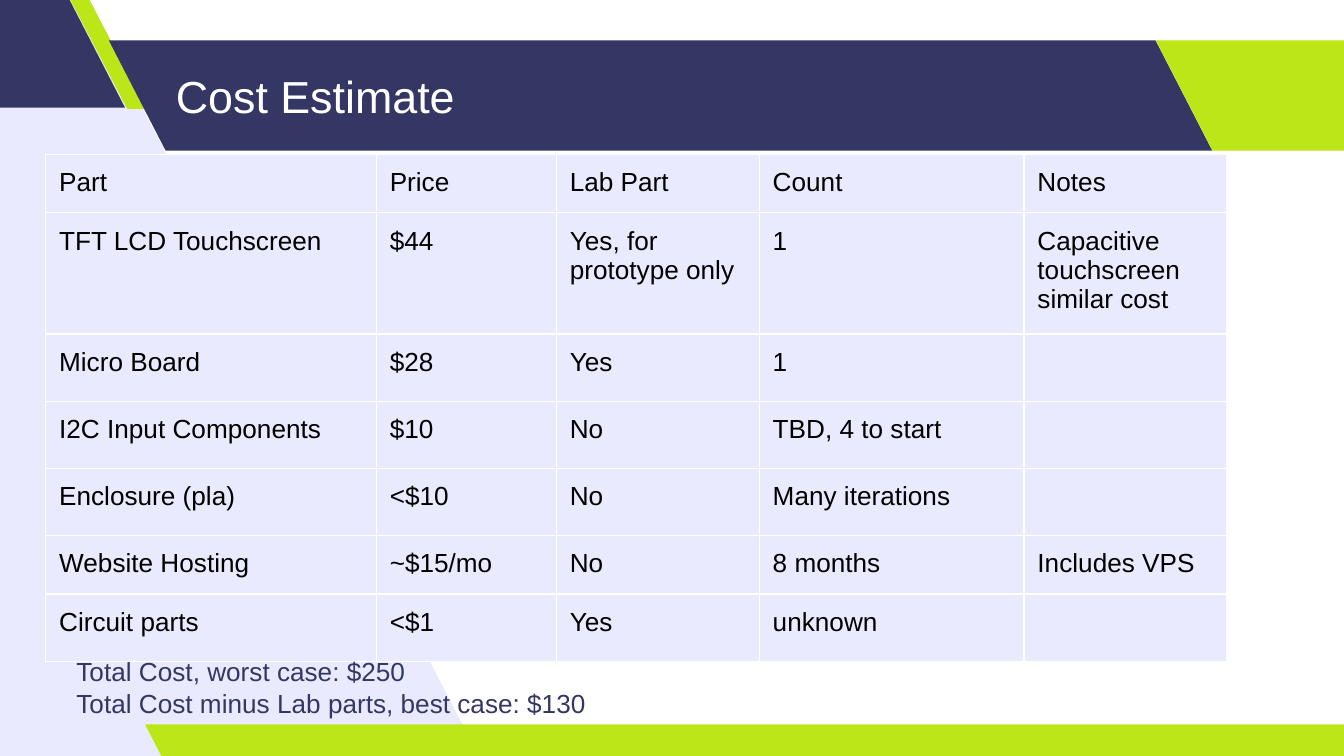
import pptx
import pptx.enum.shapes
import pptx.enum.text
import pptx.oxml.ns
import pptx.util
from lxml import etree
from pptx.dml.color import RGBColor
from pptx.util import Inches

COLORS = {
    "navy": "343764",
    "lime": "BBE617",
    "pale": "E9EAFD",
    "white": "FFFFFF",
    "black": "000000",
}
FONT = "Arial"
PAD = Inches(0.1)

# Slanted bars: left, top, width, height, slant, color
BARS = [
    (-0.99, -0.02, 1.92, 0.82, 0.515, "navy"),
    (0.52, -0.01, 0.57, 0.82, 0.75, "lime"),
    (0.81, 0.3, 8.21, 0.82, 0.515, "navy"),
    (8.6, 0.3, 1.92, 0.82, 0.515, "lime"),
    (1.08, 5.39, 9.15, 0.25, 0.515, "lime"),
]
WEDGE = [(3.56, 5.62), (0.62, -0.04), (-0.06, -0.04), (-0.02, 5.66)]

COLS = [2.46, 1.34, 1.51, 1.97, 1.51]
ROW = 0.42  # least height; rows grow with their text
SIDE = 3.28
COSTS = [
    ("Part", "Price", "Lab Part", "Count", "Notes"),
    ("TFT LCD Touchscreen", "$44", "Yes, for prototype only", "1",
     "Capacitive touchscreen similar cost"),
    ("Micro Board", "$28", "Yes", "1", ""),
    ("I2C Input Components", "$10", "No", "TBD, 4 to start", ""),
    ("Enclosure (pla)", "<$10", "No", "Many iterations", ""),
    ("Website Hosting", "~$15/mo", "No", "8 months", "Includes VPS"),
    ("Circuit parts", "<$1", "Yes", "unknown", ""),
]
TOTALS = ["Total Cost, worst case: $250",
          "Total Cost minus Lab parts, best case: $130"]


def rgb(name):
    return RGBColor.from_string(COLORS[name])


def paint(shape, color):
    shape.fill.solid()
    shape.fill.fore_color.rgb = rgb(color)
    shape.line.fill.background()
    shape.shadow.inherit = False


def add_wedge(slide):
    points = [(Inches(x), Inches(y)) for x, y in WEDGE]
    draft = slide.shapes.build_freeform(*points[0])
    draft.add_line_segments(points[1:], close=True)
    paint(draft.convert_to_shape(), "pale")


def add_bar(slide, left, top, width, height, slant, color):
    kind = pptx.enum.shapes.MSO_SHAPE.PARALLELOGRAM
    bar = slide.shapes.add_shape(kind, Inches(left), Inches(top),
                                 Inches(width), Inches(height))
    bar.adjustments[0] = slant
    bar._element.spPr.xfrm.set("flipH", "1")
    paint(bar, color)


def style(frame, size, color):
    for para in frame.paragraphs:
        for run in para.runs:
            run.font.name = FONT
            run.font.size = pptx.util.Pt(size)
            run.font.color.rgb = rgb(color)


def pad(box):
    box.margin_left = box.margin_right = PAD
    box.margin_top = box.margin_bottom = PAD


def add_text(slide, place, lines, size, color, anchor):
    box = slide.shapes.add_textbox(*[Inches(n) for n in place])
    frame = box.text_frame
    frame.word_wrap = True
    frame.vertical_anchor = anchor
    pad(frame)
    frame.text = "\n".join(lines)
    style(frame, size, color)


def add_edges(cell):
    props = cell._tc.get_or_add_tcPr()
    for spot, side in enumerate(("lnL", "lnR", "lnT", "lnB")):
        edge = etree.Element(pptx.oxml.ns.qn("a:" + side),
                             w=str(pptx.util.Pt(0.75)))
        fill = etree.SubElement(edge, pptx.oxml.ns.qn("a:solidFill"))
        etree.SubElement(fill, pptx.oxml.ns.qn("a:srgbClr"),
                         val=COLORS["white"])
        props.insert(spot, edge)


def add_costs(slide):
    frame = slide.shapes.add_table(
        len(COSTS), len(COLS), Inches(0.34), Inches(1.15),
        Inches(SIDE), Inches(SIDE))
    grid = frame.table
    grid.first_row = grid.horz_banding = False
    for col, width in zip(grid.columns, COLS):
        col.width = Inches(width)
    for row, texts in zip(grid.rows, COSTS):
        row.height = Inches(ROW)
        for cell, text in zip(row.cells, texts):
            pad(cell)
            cell.fill.solid()
            cell.fill.fore_color.rgb = rgb("pale")
            add_edges(cell)
            if text:
                cell.text_frame.text = text
                style(cell.text_frame, 14, "black")
    # Column and row sizes reset the frame, so size it last
    frame.width = frame.height = Inches(SIDE)


def main():
    deck = pptx.Presentation()
    deck.slide_width = Inches(10)
    deck.slide_height = Inches(10 * 9 / 16)
    slide = deck.slides.add_slide(deck.slide_layouts[6])
    anchor = pptx.enum.text.MSO_ANCHOR

    # Backdrop
    add_wedge(slide)
    for bar in BARS:
        add_bar(slide, *bar)

    # Title, cost table and totals
    add_text(slide, (1.21, 0.3, 7.35, 0.82), ["Cost Estimate"],
             24, "white", anchor.MIDDLE)
    add_costs(slide)
    add_text(slide, (0.47, 4.78, 7.98, 0.8), TOTALS,
             14, "navy", anchor.TOP)

    deck.save("out.pptx")


if __name__ == "__main__":
    main()
